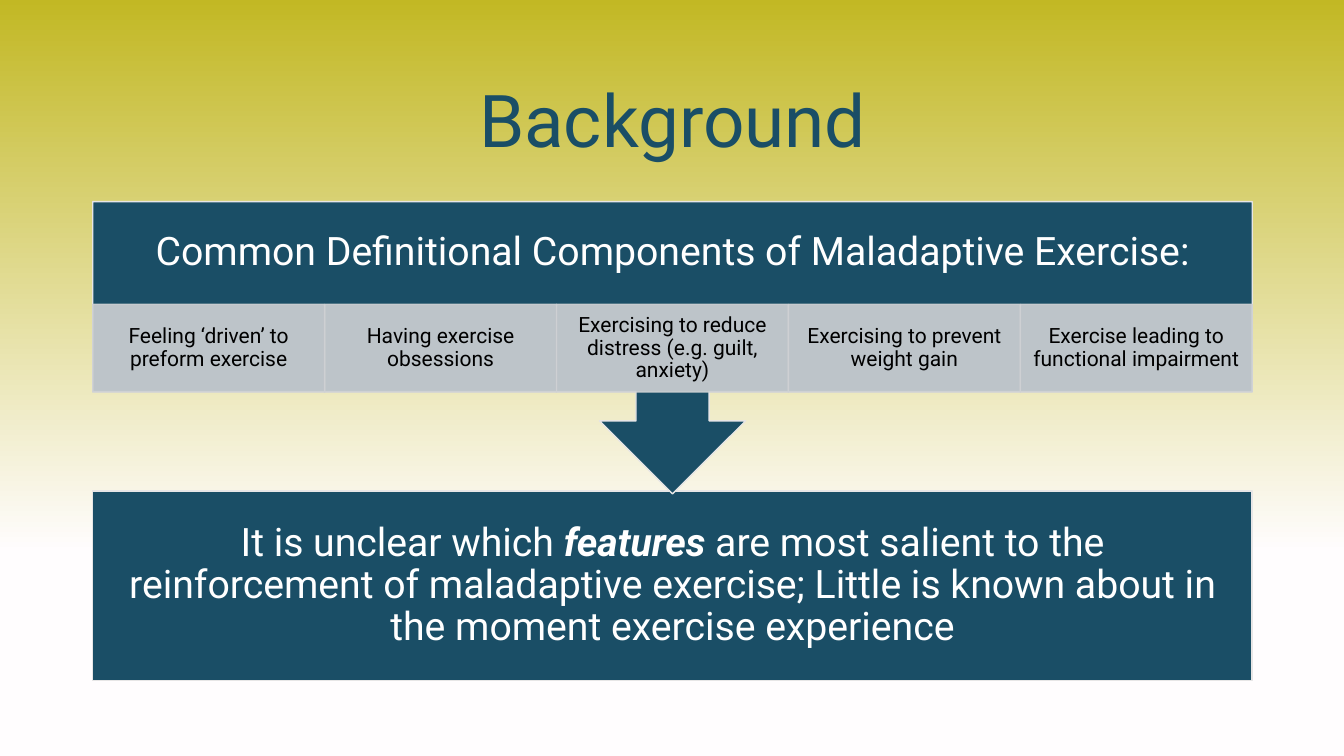
from dataclasses import dataclass

from lxml.etree import SubElement
from pptx import Presentation
from pptx.dml.color import RGBColor
from pptx.enum.shapes import MSO_SHAPE as Shape
from pptx.enum.text import MSO_ANCHOR as Anchor, PP_ALIGN as Align
from pptx.oxml.ns import qn
from pptx.util import Pt

PX = 9144


@dataclass(frozen=True)
class Theme:
    font: str = "Roboto"
    navy: str = "1A4E66"
    outline: str = "E7E6E6"
    gray: str = "CFD1D4"
    white: str = "FFFFFF"
    black: str = "000000"
    sky: tuple = ((0, "C2B824"), (73, "FFFDFE"), (100, "FFFDFE"))
    title_size: int = 52
    statement_size: int = 28
    component_size: int = 15
    component_opacity: int = 90


THEME = Theme()
COMPONENTS = (
    "Feeling ‘driven’ to preform exercise",
    "Having exercise obsessions",
    "Exercising to reduce distress (e.g. guilt, anxiety)",
    "Exercising to prevent weight gain",
    "Exercise leading to functional impairment",
)
CONCLUSION = (
    ("It is unclear which ", False),
    ("features", True),
    (" are most salient to the reinforcement of maladaptive exercise; "
     "Little is known about in the moment exercise experience", False),
)


def emu(box):
    return [length * PX for length in box]


def write(frame, runs, size, color, inset_x, inset_y):
    frame.word_wrap = True
    frame.vertical_anchor = Anchor.MIDDLE
    frame.margin_left = frame.margin_right = inset_x * PX
    frame.margin_top = frame.margin_bottom = inset_y * PX
    paragraph = frame.paragraphs[0]
    paragraph.alignment = Align.CENTER
    paragraph.line_spacing = 0.9
    for text, emphasis in runs:
        run = paragraph.add_run()
        run.text = text
        run.font.name = THEME.font
        run.font.size = Pt(size)
        run.font.color.rgb = RGBColor.from_string(color)
        run.font.bold = run.font.italic = emphasis


def add_label(slide, box, text, size, color, inset_x, inset_y):
    label = slide.shapes.add_textbox(*emu(box))
    write(label.text_frame, [(text, False)], size, color, inset_x, inset_y)


def add_panel(slide, kind, box, fill, outline, opacity=100):
    panel = slide.shapes.add_shape(kind, *emu(box))
    panel.shadow.inherit = False
    panel.fill.solid()
    panel.fill.fore_color.rgb = RGBColor.from_string(fill)
    panel.line.color.rgb = RGBColor.from_string(outline)
    panel.line.width = Pt(1)
    if opacity < 100:
        for color in panel.element.spPr.iter(qn("a:srgbClr")):
            SubElement(color, qn("a:alpha"), val=str(opacity * 1000))
    return panel


def paint_background(slide):
    fill = slide.background.fill
    fill.gradient()
    fill.gradient_angle = 270
    stops = next(slide.element.iter(qn("a:gsLst")))
    for stop in list(stops):
        stops.remove(stop)
    for position, color in THEME.sky:
        stop = SubElement(stops, qn("a:gs"), pos=str(position * 1000))
        SubElement(stop, qn("a:srgbClr"), val=color)


def add_components(slide, box):
    left, top, width, height = box
    cell_width = width // len(COMPONENTS)
    for column, component in enumerate(COMPONENTS):
        cell_box = (left + column * cell_width, top, cell_width, height)
        cell = add_panel(slide, Shape.RECTANGLE, cell_box, THEME.gray,
                         THEME.gray, THEME.component_opacity)
        write(cell.text_frame, [(component, False)], THEME.component_size,
              THEME.black, 12, 2)


def add_definition(slide, box):
    left, top, width, height = box
    heading_height = 102
    callout = add_panel(slide, Shape.UP_ARROW_CALLOUT, box, THEME.navy,
                        THEME.outline)
    callout.rotation = 180
    add_label(slide, (left, top, width, heading_height),
              "Common Definitional Components of Maladaptive Exercise:",
              THEME.statement_size, THEME.white, 22, 22)
    add_components(slide, (left, top + heading_height, width, height * 3 // 10))


def add_conclusion(slide, box):
    conclusion = add_panel(slide, Shape.RECTANGLE, box, THEME.navy, THEME.outline)
    write(conclusion.text_frame, CONCLUSION, THEME.statement_size,
          THEME.white, 22, 22)


def build_background_slide(slide, box):
    left, top, width, height = box
    paint_background(slide)
    add_label(slide, (left, top, width, 124), "Background",
              THEME.title_size, THEME.navy, 10, 5)
    add_conclusion(slide, (left, top + height - 188, width, 188))
    add_definition(slide, (left, top + 139, width, 290))


def main():
    deck = Presentation()
    deck.slide_width, deck.slide_height = emu((1333, 750))
    slide = deck.slides.add_slide(deck.slide_layouts[6])
    build_background_slide(slide, (92, 61, 1150, 614))
    deck.save("out.pptx")


if __name__ == "__main__":
    main()
